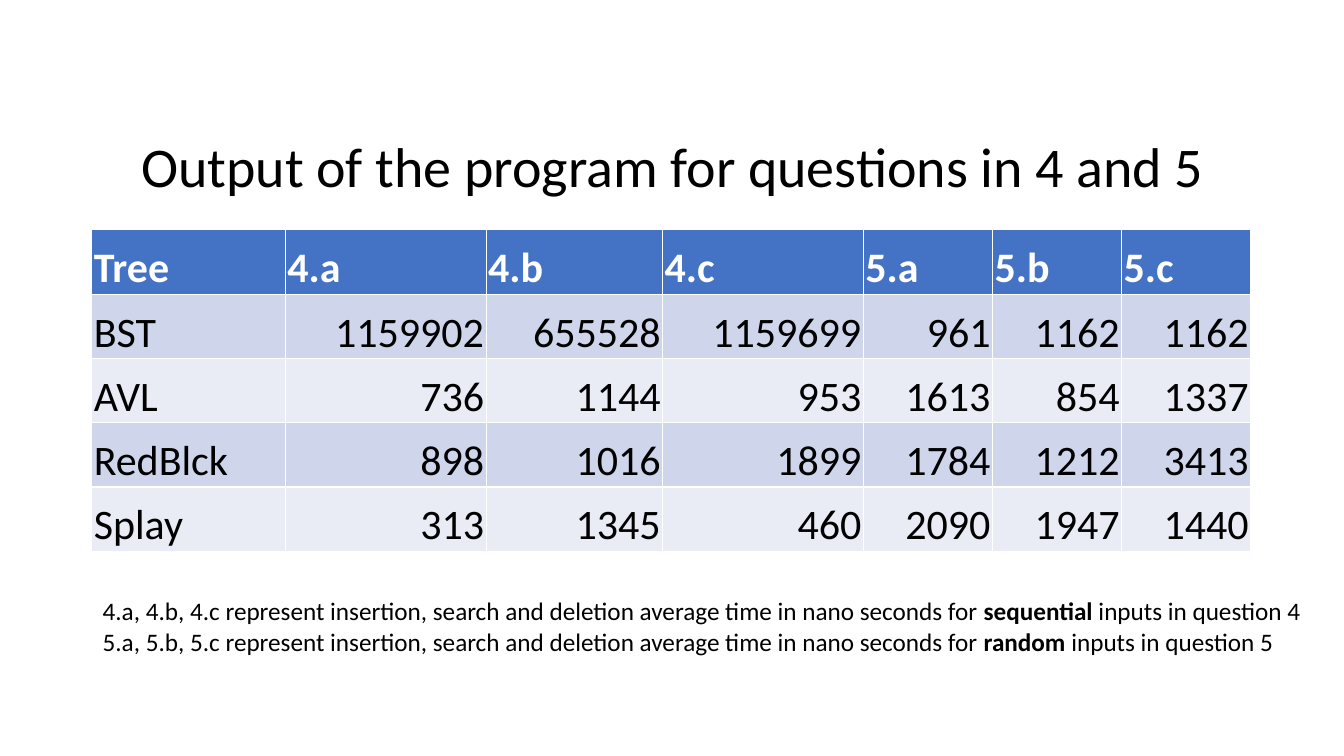
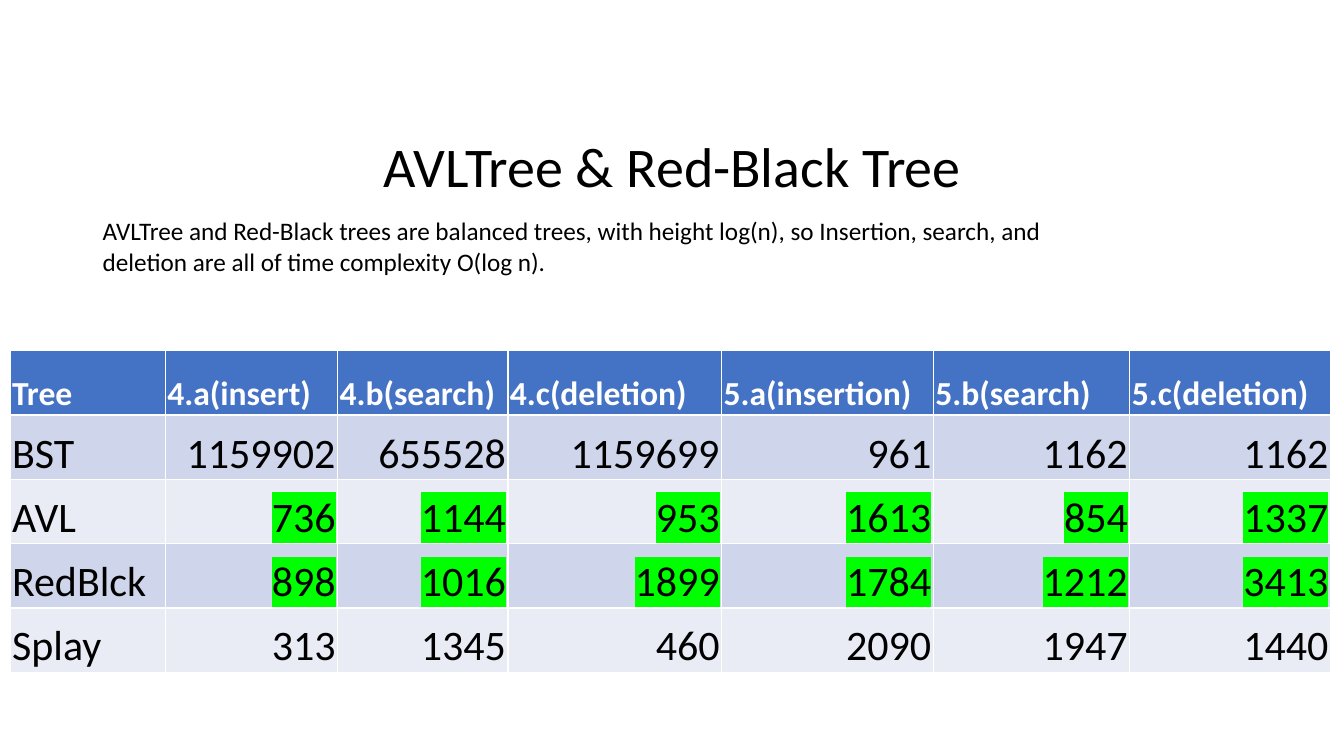
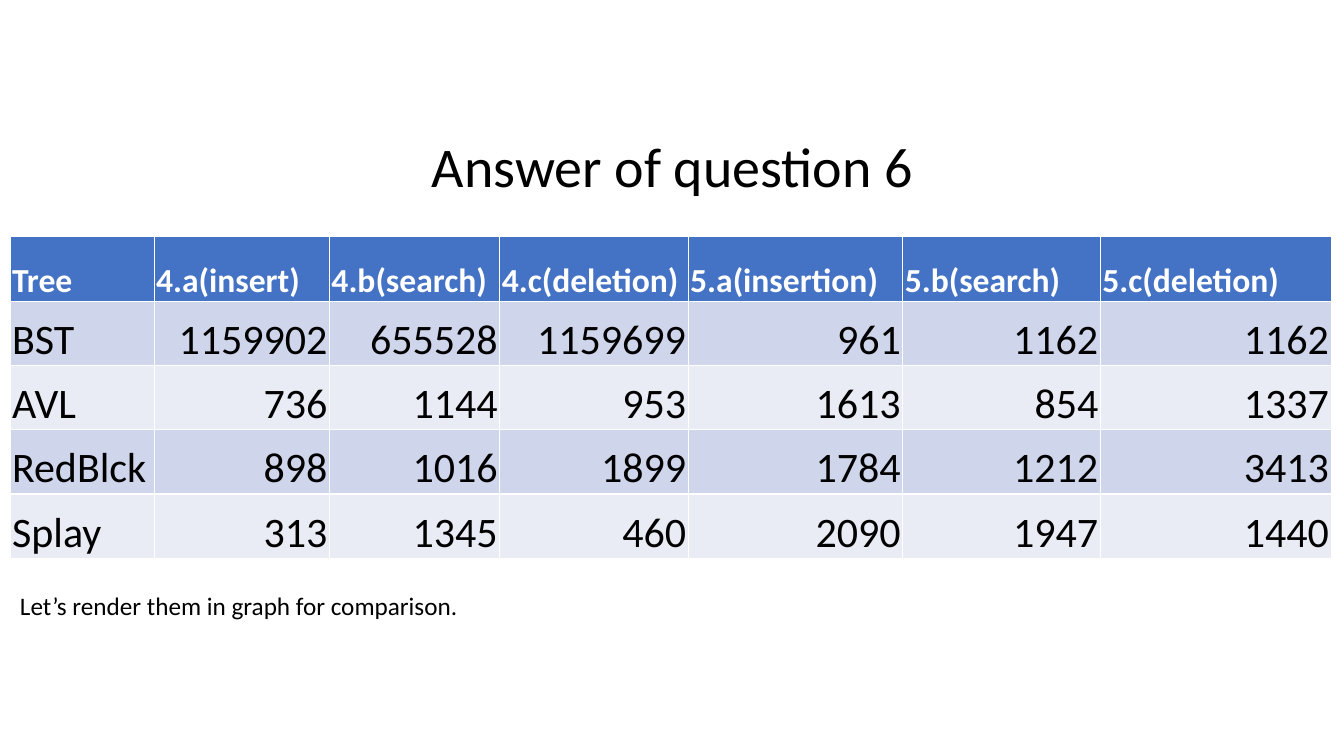
from lxml.etree import Element
from pptx import Presentation
from pptx.dml.color import RGBColor
from pptx.enum.text import MSO_ANCHOR, MSO_AUTO_SIZE, PP_ALIGN
from pptx.oxml.ns import qn
from pptx.util import Inches, Pt

BLACK = RGBColor(0x00, 0x00, 0x00)
WHITE = RGBColor(0xFF, 0xFF, 0xFF)
HEADER_BLUE = RGBColor(0x44, 0x72, 0xC4)
BAND_DARK = RGBColor(0xCF, 0xD5, 0xEA)
BAND_LIGHT = RGBColor(0xE9, 0xEB, 0xF5)
GREEN = RGBColor(0x00, 0xFF, 0x00)

TITLE_ONLY = 5
TIMINGS = [
    ("BST", 1159902, 655528, 1159699, 961, 1162, 1162),
    ("AVL", 736, 1144, 953, 1613, 854, 1337),
    ("RedBlck", 898, 1016, 1899, 1784, 1212, 3413),
    ("Splay", 313, 1345, 460, 2090, 1947, 1440),
]
SHORT_HEADER = ("Tree", "4.a", "4.b", "4.c", "5.a", "5.b", "5.c")
LONG_HEADER = ("Tree", "4.a(insert)", "4.b(search)", "4.c(deletion)",
               "5.a(insertion)", "5.b(search)", "5.c(deletion)")


class TreeDeck:
    """Holds the style and the current page; lengths are percent of the slide."""

    font_name = "Calibri"
    table_height = 42.53

    def __init__(self):
        self.deck = Presentation()
        self.deck.slide_width = Inches(13.33)
        self.deck.slide_height = Inches(7.5)
        self.page = None

    def across(self, percent):
        return round(self.deck.slide_width * percent / 100)

    def down(self, percent):
        return round(self.deck.slide_height * percent / 100)

    def area(self, left, top, width, height):
        return self.across(left), self.down(top), self.across(width), self.down(height)

    def style(self, span, size, color=BLACK, bold=False):
        span.font.name = self.font_name
        span.font.size = Pt(size)
        span.font.bold = bold
        span.font.color.rgb = color

    def highlight(self, span):
        mark = Element(qn("a:highlight"))
        mark.append(Element(qn("a:srgbClr"), val=str(GREEN)))
        span.font._element.find(qn("a:latin")).addprevious(mark)

    def add_page(self, text):
        self.page = self.deck.slides.add_slide(self.deck.slide_layouts[TITLE_ONLY])
        title = self.page.shapes.title
        title.left, title.top, title.width, title.height = self.area(6.9, 8.13, 86.25, 18.93)
        frame = title.text_frame
        frame.text = text
        frame.vertical_anchor = MSO_ANCHOR.BOTTOM
        frame.auto_size = MSO_AUTO_SIZE.NONE
        para = frame.paragraphs[0]
        para.alignment = PP_ALIGN.CENTER
        para.line_spacing = 0.9
        para.space_after = Pt(6)
        self.style(para.runs[0], 40)

    def add_timings(self, left, top, width, weights, header, header_size, marked=()):
        """Column widths share the table width by weight; marked names trees."""
        rows = [header, *TIMINGS]
        table = self.page.shapes.add_table(
            len(rows), len(header),
            *self.area(left, top, width, self.table_height)).table
        for column, weight in zip(table.columns, weights):
            column.width = self.across(width * weight / sum(weights))
        for row_index, values in enumerate(rows):
            for column_index, value in enumerate(values):
                self.fill_cell(table.cell(row_index, column_index), value,
                               row_index, header_size)
                if column_index and values[0] in marked:
                    cell = table.cell(row_index, column_index)
                    self.highlight(cell.text_frame.paragraphs[0].runs[0])

    def fill_cell(self, cell, value, row_index, header_size):
        cell.margin_left = cell.margin_right = cell.margin_top = Inches(0.02)
        cell.margin_bottom = 0
        cell.vertical_anchor = MSO_ANCHOR.BOTTOM
        cell.text_frame.text = str(value)
        para = cell.text_frame.paragraphs[0]
        para.alignment = PP_ALIGN.RIGHT if isinstance(value, int) else PP_ALIGN.LEFT
        cell.fill.solid()
        if row_index == 0:
            cell.fill.fore_color.rgb = HEADER_BLUE
            self.style(para.runs[0], header_size, WHITE, bold=True)
        else:
            cell.fill.fore_color.rgb = BAND_DARK if row_index % 2 else BAND_LIGHT
            self.style(para.runs[0], 30)

    def add_note(self, left, top, width, height, lines, wrap=True):
        """Each line is a sequence of pieces; every second piece is bold."""
        box = self.page.shapes.add_textbox(*self.area(left, top, width, height))
        frame = box.text_frame
        frame.word_wrap = wrap
        frame.auto_size = MSO_AUTO_SIZE.SHAPE_TO_FIT_TEXT
        for line_index, pieces in enumerate(lines):
            para = frame.add_paragraph() if line_index else frame.paragraphs[0]
            for piece_index, piece in enumerate(pieces):
                span = para.add_run()
                span.text = piece
                self.style(span, 18, bold=piece_index % 2 == 1)


def main():
    show = TreeDeck()

    # Measured times
    show.add_page("Output of the program for questions in 4 and 5")
    show.add_timings(6.83, 30.4, 86.25, (1.92, 1.99, 1.75, 1.99, 1.28, 1.28, 1.28),
                     SHORT_HEADER, 30)
    show.add_note(6.9, 78.13, 91.6, 13.47, [
        (f"{number}.a, {number}.b, {number}.c represent insertion, search and deletion "
         "average time in nano seconds for ", order, f" inputs in question {number}")
        for number, order in ((4, "sequential"), (5, "random"))], wrap=False)

    # Balanced trees
    show.add_page("AVLTree & Red-Black Tree")
    show.add_timings(0.75, 46.4, 98.25, (1.54, 1.71, 1.69, 2.12, 2.1, 1.95, 1.99),
                     LONG_HEADER, 24, marked=("AVL", "RedBlck"))
    show.add_note(6.9, 27.87, 72.9, 9.47, [
        ("AVLTree and Red-Black trees are balanced trees, with height log(n), so Insertion, "
         "search, and deletion are all of time complexity O(log n).",)])

    # Comparison
    show.add_page("Answer of question 6")
    show.add_timings(0.75, 31.33, 98.3, (1.43, 1.74, 1.69, 1.87, 2.13, 1.96, 2.29),
                     LONG_HEADER, 24)
    show.add_note(0.75, 77.47, 99.25, 9.47,
                  [("Let’s render them in graph for comparison.",)])

    show.deck.save("out.pptx")


if __name__ == "__main__":
    main()
